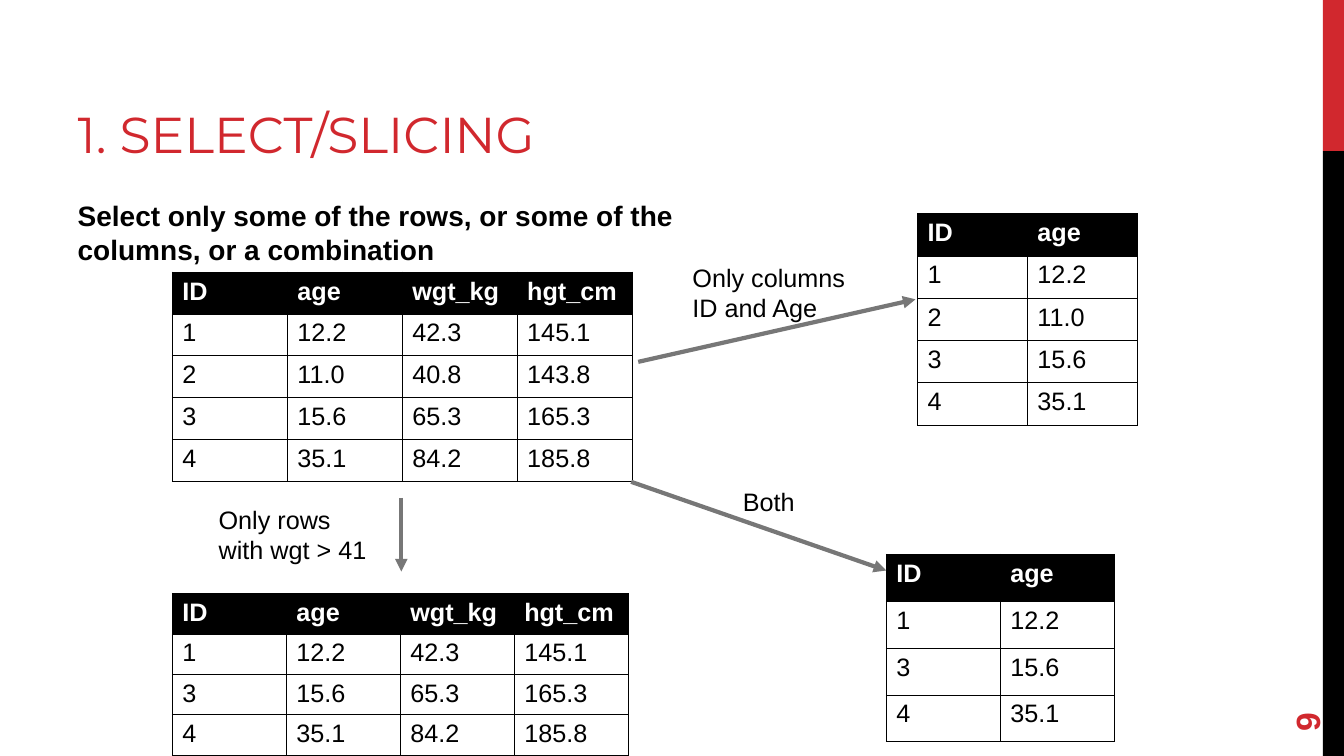
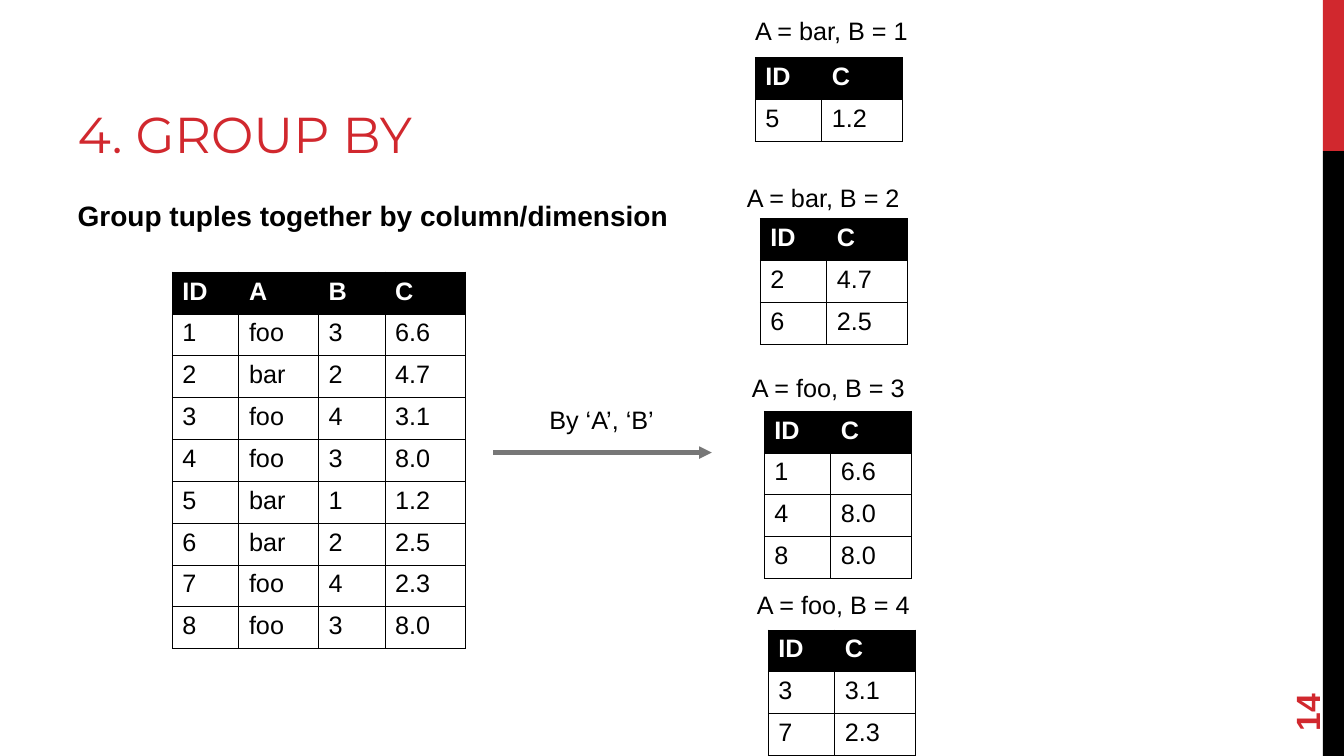
from dataclasses import dataclass

from lxml import etree
from pptx import Presentation
from pptx import util as u
from pptx.dml import color
from pptx.enum import shapes, text
from pptx.oxml import ns


@dataclass(frozen=True)
class Theme:
    red: str = "D1282E"
    black: str = "000000"
    white: str = "FFFFFF"
    grey: str = "777777"
    title_font: str = "Montserrat"
    body_font: str = "Arial"
    title_size: int = 36
    number_size: int = 24
    lead_size: int = 20
    text_size: int = 18


theme = Theme()


def write(frame, content, size=theme.text_size, font=theme.body_font,
          ink=theme.black, bold=False, anchor=text.MSO_ANCHOR.TOP):
    frame.word_wrap = True
    frame.vertical_anchor = anchor
    frame.text = content
    for paragraph in frame.paragraphs:
        paragraph.alignment = text.PP_ALIGN.LEFT
        paragraph.space_before = u.Pt(0)
        for run in paragraph.runs:
            run.font.size = u.Pt(size)
            run.font.name = font
            run.font.bold = bold
            run.font.color.rgb = color.RGBColor.from_string(ink)


def draw_table(slide, left, top, row_height, widths, rows):
    table = slide.shapes.add_table(
        len(rows), len(widths), u.Inches(left), u.Inches(top),
        u.Inches(sum(widths)), u.Inches(row_height * len(rows))).table
    for column, width in zip(table.columns, widths):
        column.width = u.Inches(width)
    for row_index, row in enumerate(rows):
        header = row_index == 0
        for column_index, value in enumerate(row):
            cell = table.cell(row_index, column_index)
            write(cell.text_frame, value, bold=header,
                  ink=theme.white if header else theme.black)
            cell.fill.solid()
            cell.fill.fore_color.rgb = color.RGBColor.from_string(
                theme.black if header else theme.white)
            # Borders come before the fill in the cell properties
            properties = cell._tc.get_or_add_tcPr()
            for position, side in enumerate(("lnL", "lnR", "lnT", "lnB")):
                border = etree.Element(ns.qn(f"a:{side}"), w=str(u.Pt(0.75)))
                fill = etree.SubElement(border, ns.qn("a:solidFill"))
                etree.SubElement(fill, ns.qn("a:srgbClr"), val=theme.black)
                properties.insert(position, border)


# Source data and the tables derived from it
people = [
    ["ID", "age", "wgt_kg", "hgt_cm"],
    ["1", "12.2", "42.3", "145.1"],
    ["2", "11.0", "40.8", "143.8"],
    ["3", "15.6", "65.3", "165.3"],
    ["4", "35.1", "84.2", "185.8"],
]
heavy = people[:1] + [row for row in people[1:] if float(row[2]) > 41]

tuples = [
    ["ID", "A", "B", "C"],
    ["1", "foo", "3", "6.6"],
    ["2", "bar", "2", "4.7"],
    ["3", "foo", "4", "3.1"],
    ["4", "foo", "3", "8.0"],
    ["5", "bar", "1", "1.2"],
    ["6", "bar", "2", "2.5"],
    ["7", "foo", "4", "2.3"],
    ["8", "foo", "3", "8.0"],
]

# Group: A, B, table left and top, label left and top
group_tables = []
group_labels = []
for a, b, left, top, label_left, label_top in [
    ("bar", "1", 7.49, 0.57, 7.39, 0.1),
    ("bar", "2", 7.54, 2.17, 7.31, 1.76),
    ("foo", "3", 7.58, 4.08, 7.36, 3.64),
    ("foo", "4", 7.62, 6.25, 7.41, 5.8),
]:
    members = [row for row in tuples[1:] if row[1:3] == [a, b]]
    group_tables.append((left, top, 0.415, [0.66, 0.8],
                         [[row[0], row[3]] for row in tuples[:1] + members]))
    group_labels.append((f"A = {a}, B = {b}", label_left, label_top, 1.73, 0.4))

# Tables: left, top, row height, column widths, rows
# Labels: text, left, top, width, height; arrows: from x, y to x, y
pages = [
    {
        "title": "1. SELECT/SLICING",
        "lead": "Select only some of the rows, or some of the columns, or a combination",
        "lead_width": 6.72,
        "number": "9",
        "tables": [
            (1.71, 2.7, 0.415, [1.14] * 4, people),
            (9.1, 2.12, 0.42, [1.09] * 2, [row[:2] for row in people]),
            (1.71, 5.89, 0.4, [1.13] * 4, heavy),
            (8.79, 5.5, 0.465, [1.13] * 2, [row[:2] for row in heavy]),
        ],
        "labels": [
            ("Only columns\nID and Age", 6.77, 2.55, 1.73, 0.7),
            ("Only rows with wgt > 41", 2.07, 4.95, 1.72, 0.7),
            ("Both", 7.27, 4.78, 0.8, 0.4),
        ],
        "arrows": [
            (3.98, 4.94, 3.98, 5.67),
            (6.26, 4.78, 8.79, 5.66),
            (6.33, 3.59, 9.08, 2.97),
        ],
    },
    {
        "title": "4. GROUP BY",
        "lead": "Group tuples together by column/dimension",
        "lead_width": 11.11,
        "number": "14",
        "tables": [(1.71, 2.7, 0.415, [0.66, 0.79, 0.66, 0.8], tuples)] + group_tables,
        "labels": [("By ‘A’, ‘B’", 5.35, 3.96, 1.96, 0.4)] + group_labels,
        "arrows": [(4.89, 4.49, 7.06, 4.49)],
    },
]

presentation = Presentation()
presentation.slide_width = u.Inches(13.33)
presentation.slide_height = u.Inches(7.5)
layout = presentation.slide_layouts[1]

for page in pages:
    slide = presentation.slides.add_slide(layout)

    # Title and lead sentence
    title, lead = slide.placeholders
    title.left, title.top = u.Inches(0.67), u.Inches(0.17)
    title.width, title.height = u.Inches(8.44), u.Inches(1.5)
    write(title.text_frame, page["title"], size=theme.title_size,
          font=theme.title_font, ink=theme.red, anchor=text.MSO_ANCHOR.BOTTOM)
    lead.left, lead.top = u.Inches(0.67), u.Inches(1.92)
    lead.width, lead.height = u.Inches(page["lead_width"]), u.Inches(4.78)
    write(lead.text_frame, page["lead"], size=theme.lead_size, bold=True)
    properties = lead.text_frame.paragraphs[0]._p.get_or_add_pPr()
    properties.set("marL", "0")
    properties.set("indent", "0")
    etree.SubElement(properties, ns.qn("a:buNone"))

    # Slide number, reading upwards
    number = slide.shapes.add_textbox(
        u.Inches(12.24), u.Inches(6.37), u.Inches(1.44), u.Inches(0.53))
    number.rotation = 270
    write(number.text_frame, page["number"], size=theme.number_size,
          ink=theme.red, bold=True, anchor=text.MSO_ANCHOR.MIDDLE)

    # Tables, labels and arrows
    for table in page["tables"]:
        draw_table(slide, *table)
    for content, *box in page["labels"]:
        label = slide.shapes.add_textbox(*map(u.Inches, box))
        write(label.text_frame, content)
    for ends in page["arrows"]:
        arrow = slide.shapes.add_connector(
            shapes.MSO_CONNECTOR.STRAIGHT, *map(u.Inches, ends))
        arrow.line.color.rgb = color.RGBColor.from_string(theme.grey)
        arrow.line.width = u.Pt(3)
        outline = arrow.element.spPr.get_or_add_ln()
        etree.SubElement(outline, ns.qn("a:tailEnd"), type="triangle")
        etree.SubElement(arrow.element.spPr, ns.qn("a:effectLst"))

# Side bands, moved to the shared layout
for top, height, fill in [(0, 1.5, theme.red), (1.5, 6, theme.black)]:
    band = slide.shapes.add_shape(
        shapes.MSO_SHAPE.RECTANGLE, u.Inches(13.12), u.Inches(top),
        u.Inches(0.21), u.Inches(height))
    band.shadow.inherit = False
    band.fill.solid()
    band.fill.fore_color.rgb = color.RGBColor.from_string(fill)
    band.line.fill.background()
    layout.element.cSld.spTree.append(band.element)

presentation.save("out.pptx")
